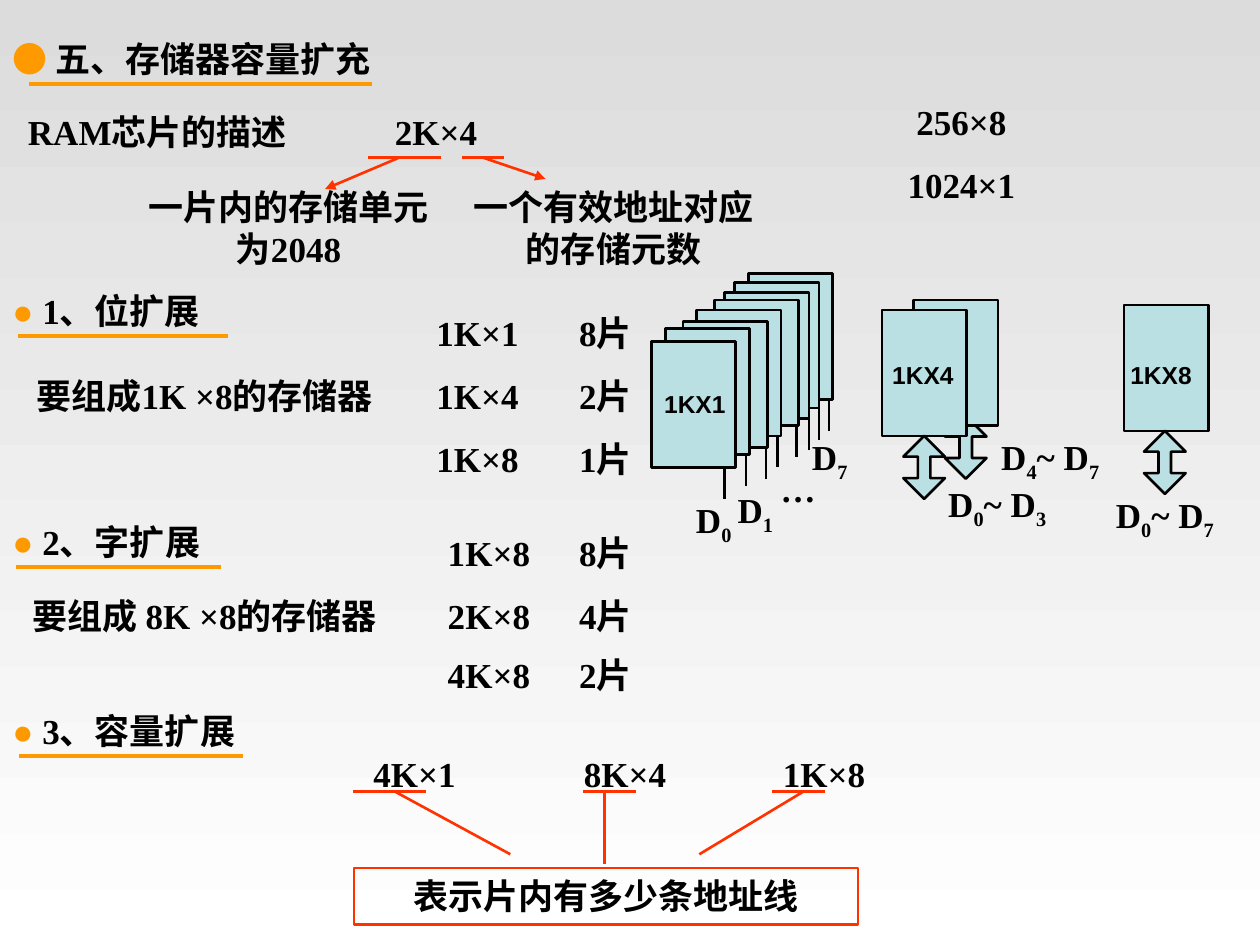
from lxml import etree
from pptx import Presentation
from pptx.dml.color import RGBColor
from pptx.enum.shapes import MSO_CONNECTOR as CONNECTOR, MSO_SHAPE as SHAPE
from pptx.enum.text import MSO_ANCHOR as ANCHOR, MSO_AUTO_SIZE as AUTO_SIZE, PP_ALIGN as ALIGN
from pptx.oxml.ns import qn
from pptx.util import Inches, Pt

BLACK = RGBColor(0x00, 0x00, 0x00)
ORANGE = RGBColor(0xFF, 0x99, 0x00)
RED = RGBColor(0xFF, 0x33, 0x00)
CHIP_BLUE = RGBColor(0xBB, 0xE0, 0xE3)
GRAY = RGBColor(0xDC, 0xDC, 0xDC)
WHITE = RGBColor(0xFF, 0xFF, 0xFF)

CHIP_WIDTH, CHIP_HEIGHT = 0.67, 1
ROW_HEIGHT = 0.43


class SlideBuilder:
    """Holds the text style and the current slide."""

    font_name = "Times New Roman"
    font_size = 20

    def __init__(self, slide):
        self.slide = slide

    def background(self, top_color, bottom_color):
        fill = self.slide.background.fill
        fill.gradient()
        fill.gradient_angle = 270
        for stop, color in zip(fill.gradient_stops, (top_color, bottom_color)):
            stop.color.rgb = color

    def format_frame(self, frame, align, margins=(0.1, 0.05)):
        frame.word_wrap = True
        frame.auto_size = AUTO_SIZE.NONE
        frame.vertical_anchor = ANCHOR.TOP
        frame.margin_left = frame.margin_right = Inches(margins[0])
        frame.margin_top = frame.margin_bottom = Inches(margins[1])
        paragraph = frame.paragraphs[0]
        paragraph.alignment = align
        paragraph.space_before = Pt(0)
        return paragraph

    def format_font(self, font, name=None, size=None):
        font.name = name or self.font_name
        font.size = Pt(size or self.font_size)

    def text(self, content, left, top, width, height=ROW_HEIGHT, name=None, size=None):
        box = self.slide.shapes.add_textbox(
            Inches(left), Inches(top), Inches(width), Inches(height))
        paragraph = self.format_frame(box.text_frame, ALIGN.CENTER)
        paragraph.add_run().text = content
        self.format_font(paragraph.font, name, size)
        paragraph.font.bold = True
        paragraph.font.color.rgb = BLACK

    def signal(self, parts, left, top, width):
        """Label whose parts alternate between normal text and subscript."""
        box = self.slide.shapes.add_textbox(
            Inches(left), Inches(top), Inches(width), Inches(0.33))
        paragraph = self.format_frame(box.text_frame, ALIGN.CENTER, (0, 0))
        for index, part in enumerate(parts):
            run = paragraph.add_run()
            run.text = part
            if index % 2:
                run.font._element.set("baseline", "-25000")
        self.format_font(paragraph.font)
        paragraph.font.bold = True
        paragraph.font.color.rgb = BLACK

    def heading(self, content, top, width, line_start, line_end, placeholder=None):
        box = placeholder or self.slide.shapes.add_textbox(0, 0, 0, 0)
        box.left, box.top = Inches(0), Inches(top)
        box.width, box.height = Inches(width), Inches(ROW_HEIGHT)
        paragraph = self.format_frame(box.text_frame, ALIGN.LEFT)
        for part, color, bold in (("● ", ORANGE, False), (content, BLACK, True)):
            run = paragraph.add_run()
            run.text = part
            run.font.color.rgb = color
            run.font.bold = bold
        self.format_font(paragraph.font)
        self.line((line_start, top + 0.42), (line_end, top + 0.42), ORANGE, 2.25)

    def line(self, start, end, color=RED, width=1.5, arrow=False):
        connector = self.slide.shapes.add_connector(
            CONNECTOR.STRAIGHT, *(Inches(value) for value in (*start, *end)))
        connector.line.color.rgb = color
        connector.line.width = Pt(width)
        properties = connector._element.spPr
        if arrow:
            etree.SubElement(properties.find(qn("a:ln")), qn("a:tailEnd"), type="triangle")
        etree.SubElement(properties, qn("a:effectLst"))

    def shape(self, kind, left, top, width, height, fill=CHIP_BLUE, line=BLACK):
        shape = self.slide.shapes.add_shape(
            kind, Inches(left), Inches(top), Inches(width), Inches(height))
        shape.shadow.inherit = False
        if fill is None:
            shape.fill.background()
        else:
            shape.fill.solid()
            shape.fill.fore_color.rgb = fill
        shape.line.color.rgb = line
        shape.line.width = Pt(1.5)
        return shape

    def chip(self, left, top):
        self.shape(SHAPE.RECTANGLE, left, top, CHIP_WIDTH, CHIP_HEIGHT)

    def chip_label(self, content, left, top):
        self.text(content, left, top, 0.71, 0.33, "Arial", 14)

    def bus(self, left, top):
        arrow = self.shape(SHAPE.UP_DOWN_ARROW, left, top, 0.33, 0.5)
        arrow.adjustments[0], arrow.adjustments[1] = 0.5, 0.3


def main():
    presentation = Presentation()
    presentation.slide_width, presentation.slide_height = Inches(10), Inches(7.5)
    slide = presentation.slides.add_slide(presentation.slide_layouts[5])
    builder = SlideBuilder(slide)
    builder.background(GRAY, WHITE)

    # Headings
    builder.heading("五、存储器容量扩充", 0.25, 4.08, 0.23, 2.95, slide.shapes.title)
    builder.heading("1、位扩展", 2.25, 2.5, 0.14, 1.81)
    builder.heading("2、字扩展", 4.08, 2.42, 0.13, 1.75)
    builder.heading("3、容量扩展", 5.58, 2.67, 0.15, 1.93)

    # Chip description
    builder.text("RAM芯片的描述", 0, 0.83, 2.5)
    builder.text("2K×4", 2.75, 0.83, 1.42)
    builder.text("256×8", 6.92, 0.75, 1.42)
    builder.text("1024×1", 6.92, 1.25, 1.42)
    builder.text("一片内的存储单元为2048", 1, 1.42, 2.58, 0.77)
    builder.text("一个有效地址对应的存储元数", 3.58, 1.42, 2.58, 0.77)
    builder.line((2.92, 1.25), (3.5, 1.25))
    builder.line((3.17, 1.25), (2.58, 1.5), arrow=True)
    builder.line((3.67, 1.25), (4, 1.25))
    builder.line((3.83, 1.25), (4.33, 1.42), arrow=True)

    # Chip counts for bit and word expansion
    builder.text("要组成1K ×8的存储器", 0, 2.92, 3.25)
    builder.text("要组成 8K ×8的存储器", 0, 4.67, 3.25)
    for left, top, chip, count in (
        (3.08, 2.42, "1K×1", "8片"),
        (3.08, 2.92, "1K×4", "2片"),
        (3.08, 3.42, "1K×8", "1片"),
        (3.17, 4.17, "1K×8", "8片"),
        (3.17, 4.67, "2K×8", "4片"),
        (3.17, 5.14, "4K×8", "2片"),
    ):
        builder.text(chip, left, top, 1.42)
        builder.text(count, 4.43, top, 0.75)

    # Capacity expansion: text left, underline start and end, branch start and end
    for chip, left, line_start, line_end, branch_start, branch_end in (
        ("4K×1", 2.58, 2.8, 3.38, 3.13, (4.05, 6.78)),
        ("8K×4", 4.25, 4.63, 5.05, 4.8, (4.8, 6.86)),
        ("1K×8", 5.83, 6.13, 6.55, 6.38, (5.55, 6.78)),
    ):
        builder.text(chip, left, 5.92, 1.42)
        builder.line((line_start, 6.28), (line_end, 6.28))
        builder.line((branch_start, 6.28), branch_end)
    builder.shape(SHAPE.RECTANGLE, 2.81, 6.89, 4, 0.45, None, RED)
    builder.text("表示片内有多少条地址线", 2.81, 6.89, 4, 0.45)

    # Eight 1K×1 chips, back to front: left, top, pin position
    stack = (
        (5.94, 2.17, 6.58), (5.83, 2.24, 6.5), (5.75, 2.32, 6.42), (5.67, 2.38, 6.32),
        (5.53, 2.46, 6.17), (5.42, 2.55, 6.08), (5.28, 2.61, 5.92), (5.17, 2.71, 5.75),
    )
    for left, top, _ in stack:
        builder.chip(left, top)
    for _, top, pin in stack:
        bottom = top + CHIP_HEIGHT
        builder.line((pin, bottom), (pin, bottom + 0.25), BLACK)
    builder.signal(("D", "1"), 5.83, 3.88, 0.33)
    builder.signal(("D", "0"), 5.5, 3.96, 0.33)
    builder.signal(("D", "7"), 6.42, 3.46, 0.33)
    builder.signal(("…",), 6.17, 3.71, 0.33)
    builder.chip_label("1KX1", 5.16, 3.04)

    # Two 1K×4 chips
    builder.bus(7.5, 3.3)
    builder.chip(7.25, 2.38)
    builder.chip(7, 2.46)
    builder.bus(7.17, 3.46)
    builder.signal(("D", "0", "~ D", "3"), 7.5, 3.83, 0.83)
    builder.signal(("D", "4", "~ D", "7"), 7.92, 3.46, 0.83)
    builder.chip_label("1KX4", 6.97, 2.81)

    # One 1K×8 chip
    builder.chip(8.92, 2.42)
    builder.bus(9.08, 3.42)
    builder.signal(("D", "0", "~ D", "7"), 8.83, 3.92, 0.83)
    builder.chip_label("1KX8", 8.86, 2.81)

    presentation.save("out.pptx")


if __name__ == "__main__":
    main()
